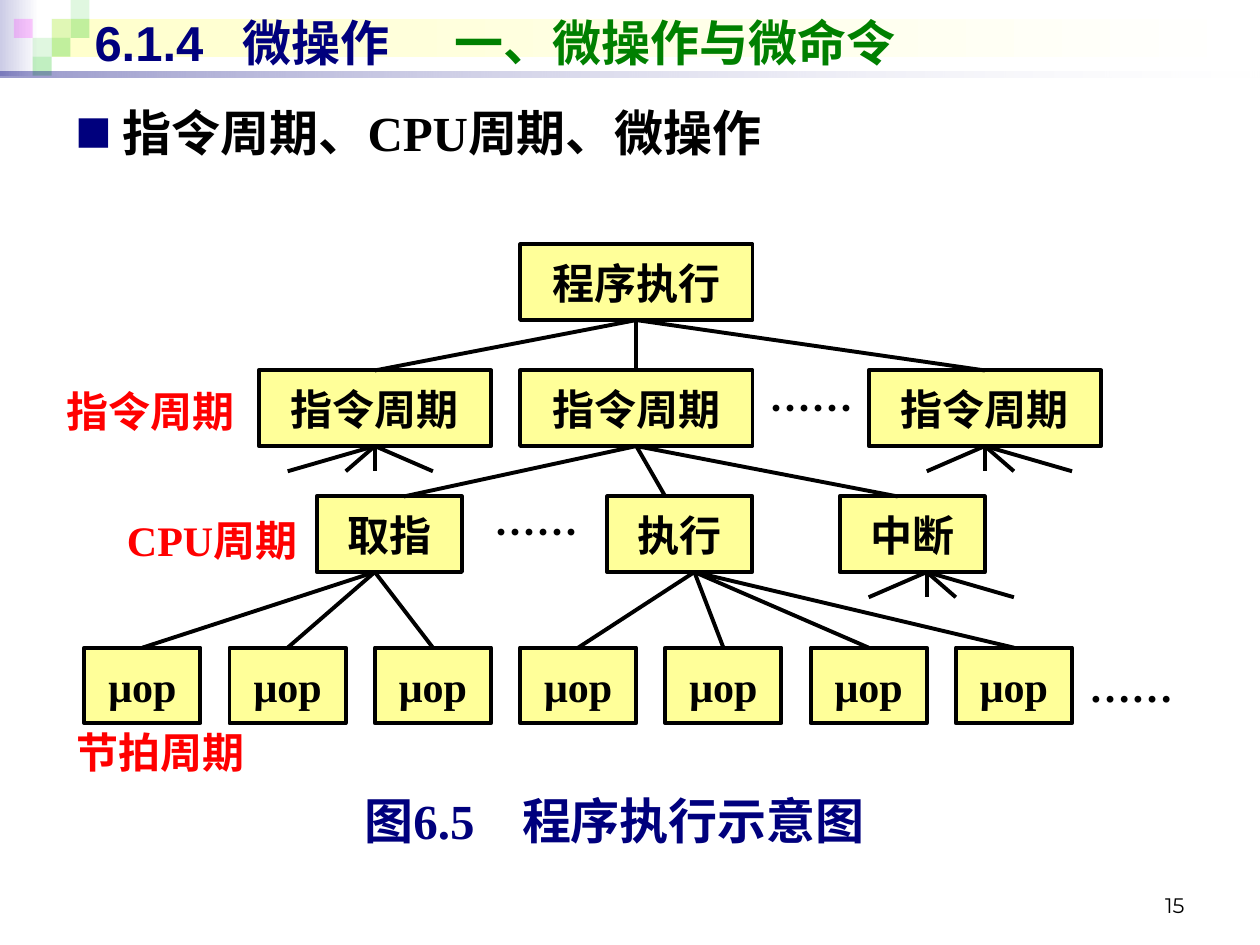
from dataclasses import dataclass

from lxml import etree
from pptx import Presentation
from pptx.dml.color import RGBColor
from pptx.enum import shapes, text
from pptx.oxml import ns
from pptx.util import Pt


@dataclass(frozen=True)
class Theme:
    navy: str = "00007D"
    green: str = "008000"
    red: str = "FF0000"
    black: str = "000000"
    white: str = "FFFFFF"
    node: str = "FFFF99"
    lilac: str = "CCCCE6"
    cream: str = "FFFFCC"
    lime: str = "33CC33"
    pink: str = "FF00FF"
    sans: str = "Arial"
    serif: str = "Times New Roman"
    cjk: str = "Noto Sans CJK SC"
    number: str = "Montserrat"
    big: float = 28
    mid: float = 24
    small: float = 12
    line: float = 2.25


T = Theme()
ALIGN = text.PP_ALIGN
ANCHOR = text.MSO_ANCHOR
FIT = text.MSO_AUTO_SIZE
RECT = shapes.MSO_SHAPE.RECTANGLE


def rgb(color):
    return RGBColor.from_string(color)


def add_xml(parent, tag, **attrs):
    return etree.SubElement(parent, ns.qn(tag), attrs)


def set_all(obj, values):
    for name, value in values.items():
        setattr(obj, name, value)


def pts(*values):
    return [Pt(round(v, 2)) for v in values]


def place(sp, box):
    set_all(sp, dict(zip(("left", "top", "width", "height"), pts(*box))))


def write(tf, runs, font, size, align=ALIGN.LEFT, bold=True, tabs=(), **frame):
    set_all(tf, {"word_wrap": True, "auto_size": FIT.NONE, **frame})
    p = tf.paragraphs[0]
    set_all(p, {"alignment": align, "space_before": Pt(0)})
    if tabs:
        stops = add_xml(p._p.get_or_add_pPr(), "a:tabLst")
        for pos in tabs:
            add_xml(stops, "a:tab", pos=str(Pt(pos)), algn="l")
    for words, color in runs:
        r = p.add_run()
        r.text = words
        set_all(r.font, {"name": font, "size": Pt(size), "bold": bold})
        r.font.color.rgb = rgb(color)
        add_xml(r._r.get_or_add_rPr(), "a:ea", typeface=T.cjk)
    return p


def add_text(parent, box, words, font, size, color, **fmt):
    sp = parent.shapes.add_textbox(*pts(*box))
    write(sp.text_frame, [(words, color)], font, size, **fmt)


def add_rect(parent, box, fill=None, outline=None):
    sp = parent.shapes.add_shape(RECT, *pts(*box))
    sp.shadow.inherit = False
    if fill:
        sp.fill.solid()
        sp.fill.fore_color.rgb = rgb(fill)
    if outline:
        sp.line.color.rgb = rgb(outline)
        sp.line.width = Pt(T.line)
    else:
        sp.line.fill.background()
    return sp


def set_alpha(sp, *percents):
    for clr, pct in zip(sp.fill._xPr.iter(ns.qn("a:srgbClr")), percents):
        add_xml(clr, "a:alpha", val=str(pct * 1000))


def add_fade(parent, box, start, alphas=()):
    sp = add_rect(parent, box)
    sp.fill.gradient()
    sp.fill.gradient_angle = 0
    for stop, color in zip(sp.fill.gradient_stops, (start, T.white)):
        stop.color.rgb = rgb(color)
    set_alpha(sp, *alphas)


def add_header(s, box):
    x, y, w, h = box
    cell = h / 4
    left = x + 7.9
    grp = s.shapes.add_group_shape()
    add_fade(grp, (x, y, 22.3, h), T.lilac)
    add_fade(grp, (left + 2 * cell, y + cell, 687.6, 2 * cell), T.cream)
    for col, row, color, alpha in [
        (2, 1, T.lime, 15), (3, 0, T.lime, 15), (3, 1, T.lime, 30), (1, 2, T.lime, 15),
        (0, 1, T.pink, 20), (2, 2, T.lime, 30), (1, 3, T.lime, 30),
    ]:
        sp = add_rect(grp, (left + col * cell, y + row * cell, cell, cell), color)
        set_alpha(sp, alpha)
    add_fade(grp, (x, y + h - 2.2, w, 3.6), T.navy, (40, 10))
    s.shapes._spTree.insert(2, grp._element)


def add_title(s, box):
    sp = s.shapes.title
    place(sp, box)
    runs = [("6.1.4\t微操作\t", T.navy), ("一、微操作与微命令", T.green)]
    write(sp.text_frame, runs, T.sans, T.big, tabs=(84.5, 206),
          vertical_anchor=ANCHOR.MIDDLE)


def add_body(s, box):
    sp = s.placeholders[1]
    place(sp, box)
    pPr = sp.text_frame.paragraphs[0]._p.get_or_add_pPr()
    pPr.set("marL", str(Pt(27)))
    pPr.set("indent", str(Pt(-27)))
    add_xml(add_xml(pPr, "a:buClr"), "a:srgbClr", val=T.navy)
    add_xml(pPr, "a:buSzPct", val="75000")
    add_xml(pPr, "a:buFont", typeface=T.cjk)
    add_xml(pPr, "a:buChar", char="■")
    write(sp.text_frame, [("指令周期、CPU周期、微操作", T.black)], T.serif, T.big)


def add_tree(s, box):
    x, y, w, h = box
    u, v = w / 34, h / 19
    grp = s.shapes.add_group_shape()

    def node(col, row, span, words, font=T.cjk):
        sp = add_rect(grp, (x + col * u, y + row * v, span * u, 3 * v), T.node, T.black)
        write(sp.text_frame, [(words, T.black)], font, T.mid, align=ALIGN.CENTER,
              vertical_anchor=ANCHOR.MIDDLE, margin_top=0, margin_bottom=0)
        return sp, col + span / 2, row

    def link(parent, start, end, child=None):
        top, mid, row = parent
        end_row = child[2] if child else row + 4
        c = grp.shapes.add_connector(
            shapes.MSO_CONNECTOR.STRAIGHT,
            *pts(x + start * u, y + (row + 3) * v, x + end * u, y + end_row * v))
        c.line.color.rgb = rgb(T.black)
        c.line.width = Pt(T.line)
        add_xml(c._element.spPr, "a:effectLst")
        if start == mid:
            c.begin_connect(top, 2)
        if child and end == child[1]:
            c.end_connect(child[0], 0)

    root = node(15, 0, 8, "程序执行")
    cycles = [node(col, 5, 8, "指令周期") for col in (6, 15, 27)]
    stages = [node(col, 10, 5, words)
              for col, words in ((8, "取指"), (18, "执行"), (26, "中断"))]
    ops = [node(5 * i, 16, 4, "μop", T.serif) for i in range(7)]

    for parent, start, ends, children in [
        (root, 19, (10, 19, 31), cycles),
        (cycles[1], 19, (11, 20, 28), stages),
        (stages[0], 10, (2, 7, 12), ops[:3]),
        (stages[1], 21, (17, 22, 27, 32), ops[3:]),
    ]:
        for end, child in zip(ends, children):
            link(parent, start, end, child)
    for parent, start, side in [(cycles[0], 10, -1), (cycles[2], 31, 1), (stages[2], 29, 1)]:
        for step in (3, 1, 0, -2):
            link(parent, start, start + side * step)

    for dx, dy, width, font, align in [
        (356.4, 75.6, 118.8, T.cjk, ALIGN.CENTER),
        (198.8, 146.2, 118.8, T.cjk, ALIGN.CENTER),
        (532.8, 234, 96.5, T.serif, ALIGN.RIGHT),
    ]:
        add_text(grp, (x + dx, y + dy, width, 36), "……", font, T.mid, T.black,
                 align=align, auto_size=FIT.SHAPE_TO_FIT_TEXT)


def add_labels(s, box):
    x, y, w, h = box
    for dx, dy, words in [(0, 0, "指令周期"), (34.5, 73.5, "CPU周期"), (5.7, 195.1, "节拍周期")]:
        add_text(s, (x + dx, y + dy, w, h), words, T.serif, T.mid, T.red,
                 auto_size=FIT.SHAPE_TO_FIT_TEXT)


def add_caption(s, box):
    sp = add_rect(s, box, T.white)
    write(sp.text_frame, [("图6.5\t程序执行示意图", T.navy)], T.serif, T.big, tabs=(90,),
          vertical_anchor=ANCHOR.MIDDLE, margin_left=Pt(24), margin_right=0,
          margin_top=0, margin_bottom=0)


def add_number(s, box):
    add_text(s, box, "15", T.number, T.small, T.black, align=ALIGN.RIGHT,
             bold=False, vertical_anchor=ANCHOR.BOTTOM)


def main():
    prs = Presentation()
    prs.slide_width, prs.slide_height = Pt(720), Pt(540)
    s = prs.slides.add_slide(prs.slide_layouts[1])
    add_header(s, (0, 0, 720, 43.2))
    add_number(s, (516.2, 491.8, 167.8, 36))
    add_title(s, (46.8, 3.6, 664.6, 41))
    add_body(s, (36, 54.7, 675.4, 96.5))
    add_caption(s, (184.3, 451.4, 334.8, 33.8))
    add_tree(s, (48.2, 139.7, 564.4, 273.6))
    add_labels(s, (31, 216.7, 158.4, 36))
    prs.save("out.pptx")


if __name__ == "__main__":
    main()
